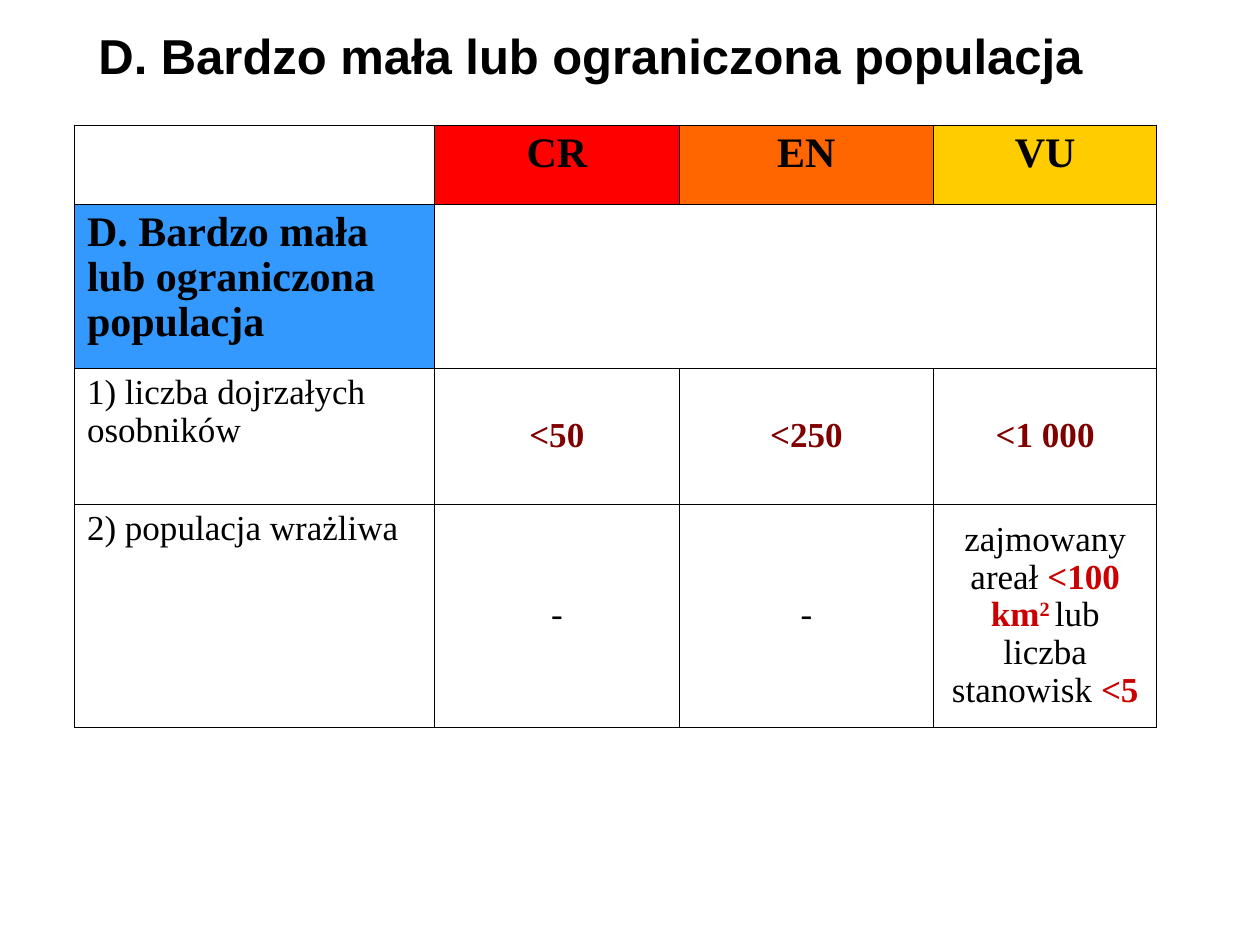
from lxml import etree
from pptx import Presentation
from pptx import util as u
from pptx.dml.color import RGBColor
from pptx.enum import text
from pptx.oxml.ns import qn


def add_run(p, content, color="000000", superscript=False, **font):
    r = p.add_run()
    r.text = content
    r.font.color.rgb = RGBColor.from_string(color)
    for name, value in font.items():
        setattr(r.font, name, value)
    if superscript:
        r.font._element.set("baseline", "30000")


def add_borders(cell, color="000000", width=u.Pt(0.45)):
    tcPr = cell._tc.get_or_add_tcPr()
    for side in ("lnL", "lnR", "lnT", "lnB"):
        ln = etree.SubElement(tcPr, qn(f"a:{side}"), w=str(int(width)))
        fill = etree.SubElement(ln, qn("a:solidFill"))
        etree.SubElement(fill, qn("a:srgbClr"), val=color)


prs = Presentation()
prs.slide_width, prs.slide_height = u.Cm(25.4), u.Cm(19.05)
slide = prs.slides.add_slide(prs.slide_layouts[5])

# Title
title = slide.shapes.title
title.left, title.top = u.Cm(1.73), u.Cm(0.38)
title.width, title.height = u.Cm(20.35), u.Cm(1.45)
tf = title.text_frame
frame_format = {
    "word_wrap": False,
    "auto_size": text.MSO_AUTO_SIZE.SHAPE_TO_FIT_TEXT,
    "vertical_anchor": text.MSO_ANCHOR.TOP,
}
for name, value in frame_format.items():
    setattr(tf, name, value)
p = tf.paragraphs[0]
p.alignment = text.PP_ALIGN.LEFT
add_run(p, "D. Bardzo mała lub ograniczona populacja",
        name="Arial", size=u.Pt(28), bold=True)

# Criteria table: each cell is a list of (text, format) runs
head = {"size": u.Pt(24), "bold": True}
limit = {"color": "800000", "bold": True}
accent = {"color": "CC0000", "bold": True}
rows = [
    [[], [("CR", head)], [("EN", head)], [("VU", head)]],
    [[("D. Bardzo mała lub ograniczona populacja", head)], [], [], []],
    [[("1) liczba dojrzałych osobników", {})],
     [("<50", limit)], [("<250", limit)], [("<1 000", limit)]],
    [[("2) populacja wrażliwa", {})], [("-", {})], [("-", {})],
     [("zajmowany areał ", {}), ("<100 km", accent),
      ("2 ", {**accent, "superscript": True}),
      ("lub liczba stanowisk ", {}), ("<5", accent)]],
]
fills = {(0, 1): "FF0000", (0, 2): "FF6600", (0, 3): "FFCC00", (1, 0): "3399FF"}
widths = [7.26, 4.93, 5.13, 4.5]
heights = [1.6, 3.3, 2.74, 4.5]

table = slide.shapes.add_table(
    len(rows), len(widths), u.Cm(1.5), u.Cm(2.52),
    u.Cm(sum(widths)), u.Cm(sum(heights))).table
table.first_row = table.horz_banding = False
for column, width in zip(table.columns, widths):
    column.width = u.Cm(width)
for row, height in zip(table.rows, heights):
    row.height = u.Cm(height)

for i, row in enumerate(rows):
    for j, runs in enumerate(row):
        cell = table.cell(i, j)
        add_borders(cell)
        cell.fill.solid()
        cell.fill.fore_color.rgb = RGBColor.from_string(fills.get((i, j), "FFFFFF"))
        if i > 1 and j > 0:
            cell.vertical_anchor = text.MSO_ANCHOR.MIDDLE
        p = cell.text_frame.paragraphs[0]
        p.alignment = text.PP_ALIGN.CENTER if j else text.PP_ALIGN.LEFT
        p.line_spacing = 0.97
        for content, style in runs:
            add_run(p, content, **{"name": "Times New Roman", "size": u.Pt(20),
                                   "bold": False, **style})
table.cell(1, 1).merge(table.cell(1, 3))

prs.save("out.pptx")
